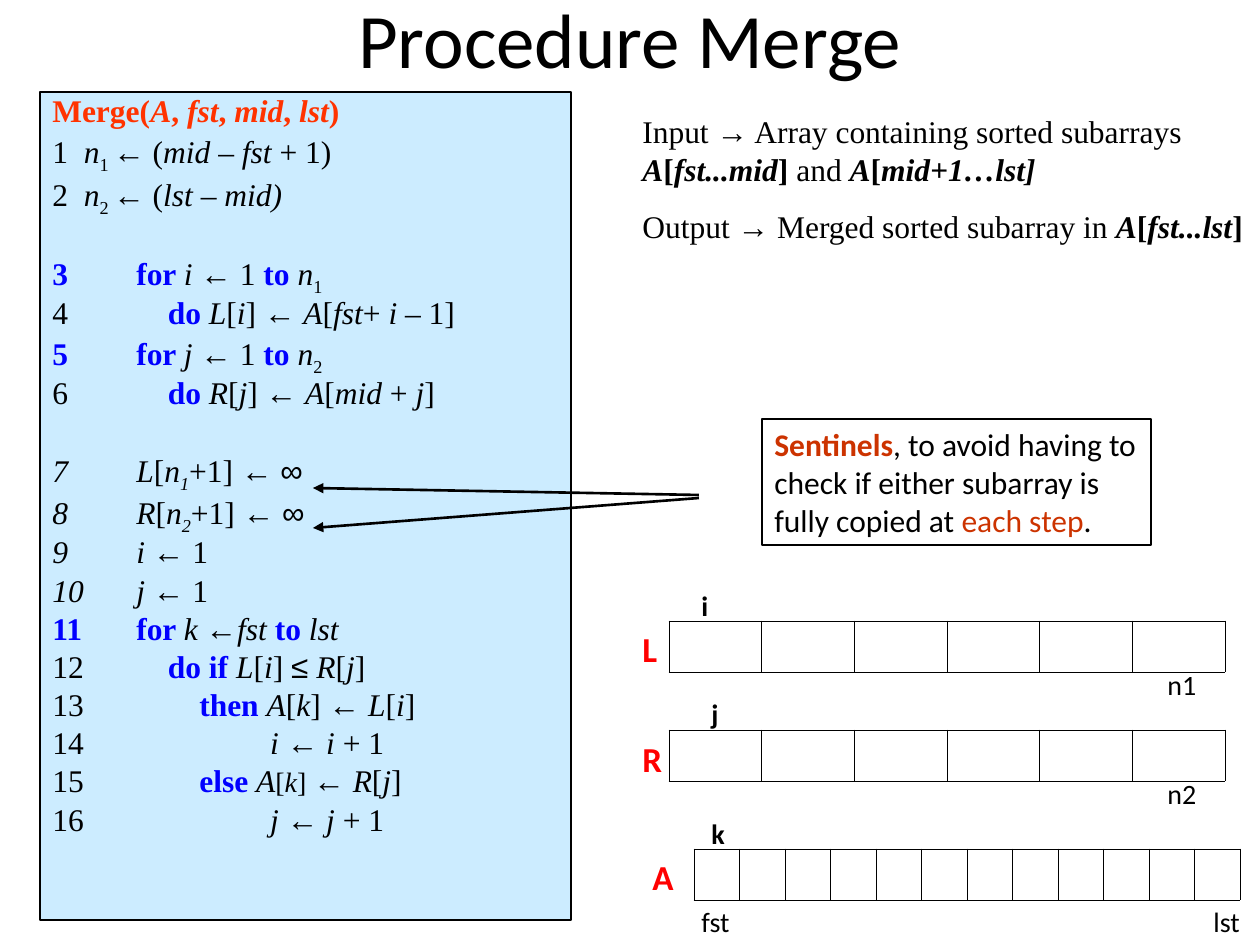
from lxml.etree import SubElement
from pptx import Presentation
from pptx.dml.color import RGBColor
from pptx.enum.shapes import MSO_CONNECTOR, MSO_SHAPE
from pptx.enum.text import MSO_ANCHOR, PP_ALIGN
from pptx.oxml.ns import qn
from pptx.util import Emu, Pt

SCALE = 914400 / 126
BLACK = RGBColor(0x00, 0x00, 0x00)
BLUE = RGBColor(0x00, 0x00, 0xFF)
RED = RGBColor(0xFF, 0x00, 0x00)
ORANGE = RGBColor(0xFF, 0x33, 0x00)
RUST = RGBColor(0xCC, 0x33, 0x00)
PALE_BLUE = RGBColor(0xCC, 0xEC, 0xFF)
SERIF = "Times New Roman"
SANS = "Calibri"
SYMBOLS = "←→∞≤"
MARKS = "*_~^`"

HEADER = ["*Merge(_A_, _fst_, _mid_, _lst_)*"]
SETUP = [
    "1  _n_~1 ~← (_mid _– _fst _+ 1)",
    "2  _n_~2 ~← (_lst _– _mid)_",
]
STEPS = [
    "*for *_i _← 1 *to *_n_~1~",
    "    *do *_L_[_i_] ← _A_[_fst_+ _i _– 1]",
    "*for *_j _← 1 *to *_n_~2~",
    "    *do *_R_[_j_] ← _A_[_mid _+ _j_]",
    "_L_[_n~1~_+1] ← ∞",
    "_R_[_n~2~_+1] ← ∞",
    "_i _← 1",
    "_j _← 1",
    "*for *_k _←_fst _*to *_lst_",
    "    *do if *_L_[_i_] ≤ _R_[_j_]",
    "        *then *_A_[_k_] ← _L_[_i_]",
    "                 _i _← _i_ + 1",
    "        *else *_A_`[_k_] `← _R_[_j_]",
    "                 _j _← _j_ + 1",
]
GAP_BEFORE = "_L_[_n"
SUMMARY = [
    "Input → Array containing sorted subarrays *_A_[_fst...mid_] *and *_A_[_mid+1…lst]_*",
    "Output → Merged sorted subarray in *_A_[_fst...lst_]*",
]
SENTINELS = [
    "*Sentinels*, to avoid having to",
    "check if either subarray is",
    "fully copied at ^each step^.",
]
ARRAYS = [
    (669, 621, 556, 51, 6),
    (669, 730, 556, 51, 6),
    (694, 849, 546, 51, 12),
]
NAMES = [("L", 630, 621), ("R", 630, 731), ("A", 640, 849)]
INDEXES = [("i", 689, 582), ("j", 699, 690), ("k", 699, 810)]
BOUNDS = [("n1", 1155, 661), ("n2", 1155, 770), ("fst", 689, 898), ("lst", 1201, 898)]


def px(n):
    return Emu(round(n * SCALE))


def box(*lengths):
    return [px(n) for n in lengths]


def split_runs(text):
    runs, on = [], frozenset()
    for ch in text:
        if ch in MARKS:
            on = on ^ {ch}
            continue
        style = on | {"symbol"} if ch in SYMBOLS else on
        if runs and runs[-1][1] == style:
            runs[-1][0] += ch
        else:
            runs.append([ch, style])
    return runs


def write(p, text, size=18, font=SANS, color=BLACK, accent=None,
          align=PP_ALIGN.LEFT, before=0, spacing=None):
    p.alignment = align
    p.space_before = Pt(before)
    if spacing:
        p.line_spacing = spacing
    for part, style in split_runs(text):
        r = p.add_run()
        r.text = part
        f = r.font
        f.size = Pt(16 if "`" in style else size)
        f.name = "Arial" if "symbol" in style else font
        f.bold = "*" in style
        f.italic = "_" in style
        f.color.rgb = accent if accent and style & {"*", "^"} else color
        if "~" in style:
            f._element.set("baseline", "-25000")


def next_paragraph(tf):
    p = tf.paragraphs[0]
    return tf.add_paragraph() if p.runs else p


def number(p, color):
    pPr = p._p.get_or_add_pPr()
    pPr.set("marL", str(px(84)))
    pPr.set("indent", str(-px(84)))
    clr = SubElement(pPr, qn("a:buClr"))
    SubElement(clr, qn("a:srgbClr"), val=str(color))
    SubElement(pPr, qn("a:buFont"), typeface=SERIF)
    SubElement(pPr, qn("a:buAutoNum"), type="arabicPlain", startAt="3")


def add_text(s, text, x, y, w, h, anchor=MSO_ANCHOR.TOP, **fmt):
    tf = s.shapes.add_textbox(*box(x, y, w, h)).text_frame
    tf.word_wrap = True
    tf.vertical_anchor = anchor
    write(tf.paragraphs[0], text, **fmt)
    return tf


def add_panel(s, x, y, w, h, fill, weight):
    sp = s.shapes.add_shape(MSO_SHAPE.RECTANGLE, *box(x, y, w, h))
    sp.shadow.inherit = False
    if fill:
        sp.fill.solid()
        sp.fill.fore_color.rgb = fill
    else:
        sp.fill.background()
    sp.line.color.rgb = BLACK
    sp.line.width = Pt(weight)
    sp.text_frame.vertical_anchor = MSO_ANCHOR.TOP
    return sp.text_frame


def add_code(s):
    tf = add_panel(s, 40, 92, 531, 828, PALE_BLUE, 1.5)
    tf.word_wrap = True
    fmt = {"font": SERIF, "spacing": 0.8}
    for text in HEADER:
        write(next_paragraph(tf), text, accent=ORANGE, **fmt)
    for text in SETUP:
        write(next_paragraph(tf), text, before=4.5, **fmt)
    for i, text in enumerate(STEPS):
        p = tf.add_paragraph()
        gap = i == 0 or text.startswith(GAP_BEFORE)
        write(p, text, accent=BLUE, before=25.5 if gap else 4.5, **fmt)
        number(p, BLUE if text.startswith("*") else BLACK)


def add_arrow(s, x1, y1, x2, y2):
    c = s.shapes.add_connector(MSO_CONNECTOR.STRAIGHT, *box(x1, y1, x2, y2))
    c.line.color.rgb = BLACK
    c.line.width = Pt(1.5)
    SubElement(c.line._get_or_add_ln(), qn("a:tailEnd"), type="triangle")
    SubElement(c._element.spPr, qn("a:effectLst"))


def add_array(s, x, y, w, h, count):
    tbl = s.shapes.add_table(1, count, *box(x, y, w, h)).table
    tbl.first_row = tbl.horz_banding = False
    for i, col in enumerate(tbl.columns):
        col.width = px(w * (i + 1) / count) - px(w * i / count)
    for cell in tbl.iter_cells():
        cell.margin_top = cell.margin_bottom = 0
        tcPr = cell._tc.get_or_add_tcPr()
        for side in ("lnL", "lnR", "lnT", "lnB"):
            ln = SubElement(tcPr, qn("a:" + side), w=str(Pt(0.45)))
            fill = SubElement(ln, qn("a:solidFill"))
            SubElement(fill, qn("a:srgbClr"), val=str(BLACK))
        cell.fill.background()


def main():
    prs = Presentation()
    prs.slide_width, prs.slide_height = box(1260, 945)
    s = prs.slides.add_slide(prs.slide_layouts[6])
    add_text(s, "Procedure Merge", 0, -25, 1260, 126, size=44,
             anchor=MSO_ANCHOR.MIDDLE, align=PP_ALIGN.CENTER)
    add_code(s)
    tf = add_panel(s, 762, 419, 389, 126, None, 1)
    tf.word_wrap = False
    for text in SENTINELS:
        write(next_paragraph(tf), text, accent=RUST)
    add_arrow(s, 699, 495, 313, 488)
    add_arrow(s, 699, 498, 313, 528)
    tf = add_text(s, SUMMARY[0], 630, 106, 630, 146, font=SERIF)
    write(tf.add_paragraph(), SUMMARY[1], font=SERIF, before=11.2)
    for array in ARRAYS:
        add_array(s, *array)
    for name, x, y in NAMES:
        add_text(s, f"*{name}*", x, y, 49, 55, size=20, color=RED)
    for name, x, y in INDEXES:
        add_text(s, f"*{name}*", x, y, 40, 47, size=16)
    for name, x, y in BOUNDS:
        add_text(s, name, x, y, 59, 47, size=16)
    prs.save("out.pptx")


if __name__ == "__main__":
    main()
